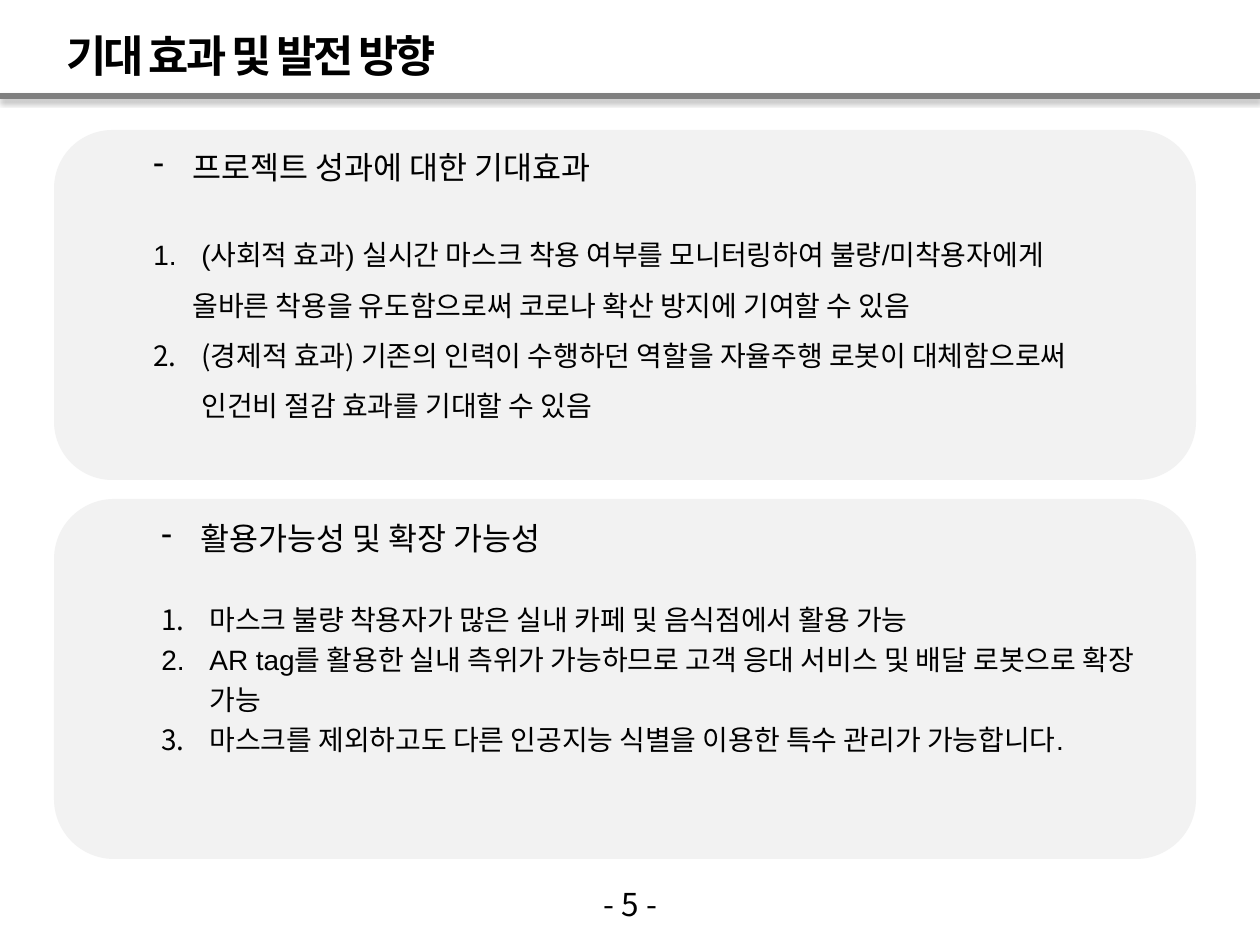
from lxml import etree
from pptx import Presentation
from pptx.dml.color import RGBColor
from pptx.enum.shapes import MSO_CONNECTOR, MSO_SHAPE
from pptx.enum.text import PP_ALIGN
from pptx.oxml.ns import qn
from pptx.util import Emu, Pt

ROUNDED = MSO_SHAPE.ROUNDED_RECTANGLE
STRAIGHT = MSO_CONNECTOR.STRAIGHT
CENTER = PP_ALIGN.CENTER
LEFT = PP_ALIGN.LEFT

COLORS = {"text": "000000", "panel": "F2F2F2", "rule": "808080", "shadow": "000000"}
KOREAN = "Noto Sans CJK KR"
LATIN = "Arial"
SLIDE_W, SLIDE_H = 1260, 945
PANEL_LEFT, PANEL_W = 54, 1142
HEADING_INDENT, ITEM_INDENT = 39, 48

TITLE = "기대 효과 및 발전 방향"
PAGE_NUMBER = "- 5 -"
SECTIONS = [
    {
        "panel": (130, 350), "text_box": (141, 142, 1014, 282),
        "heading": "프로젝트 성과에 대한 기대효과", "gap": 20, "spacing": 1.5,
        "items": [
            (1, "(사회적 효과) 실시간 마스크 착용 여부를 모니터링하여 불량/미착용자에게", LATIN),
            (None, "올바른 착용을 유도함으로써 코로나 확산 방지에 기여할 수 있음", LATIN),
            (2, "(경제적 효과) 기존의 인력이 수행하던 역할을 자율주행 로봇이 대체함으로써 "
                "인건비 절감 효과를 기대할 수 있음", KOREAN),
        ],
    },
    {
        "panel": (499, 360), "text_box": (149, 513, 1027, 248),
        "heading": "활용가능성 및 확장 가능성", "gap": 22, "spacing": 1.2,
        "items": [
            (1, "마스크 불량 착용자가 많은 실내 카페 및 음식점에서 활용 가능", LATIN),
            (2, "AR tag를 활용한 실내 측위가 가능하므로 고객 응대 서비스 및 배달 로봇으로 확장 가능", LATIN),
            (3, "마스크를 제외하고도 다른 인공지능 식별을 이용한 특수 관리가 가능합니다.", LATIN),
        ],
    },
]


def px(value):
    return Emu(round(value * 914400 / 126))


def color(name):
    return RGBColor.from_string(COLORS[name])


def add_text_frame(slide, box):
    frame = slide.shapes.add_textbox(*map(px, box)).text_frame
    frame.word_wrap = True
    return frame


def write(paragraph, text, size, latin=KOREAN, bold=False, align=LEFT):
    paragraph.text = text
    paragraph.alignment = align
    font = paragraph.runs[0].font
    font.size, font.bold, font.name = Pt(size), bold, latin
    font.color.rgb = color("text")
    properties = paragraph.runs[0]._r.get_or_add_rPr()
    etree.SubElement(properties, qn("a:ea"), typeface=KOREAN)
    return properties


def indent(paragraph, margin, tag=None, **bullet):
    properties = paragraph._p.get_or_add_pPr()
    properties.set("marL", str(px(margin)))
    properties.set("indent", str(-px(margin) if tag else 0))
    if tag:
        etree.SubElement(properties, qn(tag), **bullet)


def add_panel(slide, top, height):
    panel = slide.shapes.add_shape(ROUNDED, *map(px, (PANEL_LEFT, top, PANEL_W, height)))
    panel.shadow.inherit = False
    panel.fill.solid()
    panel.fill.fore_color.rgb = color("panel")
    panel.line.fill.background()


def add_section(slide, section):
    add_panel(slide, *section["panel"])
    frame = add_text_frame(slide, section["text_box"])
    heading = frame.paragraphs[0]
    indent(heading, HEADING_INDENT, "a:buChar", char="-")
    write(heading, section["heading"], 18)
    for position, (number, text, latin) in enumerate(section["items"]):
        item = frame.add_paragraph()
        if number:
            indent(item, ITEM_INDENT, "a:buAutoNum", type="arabicPeriod", startAt=str(number))
        else:
            indent(item, HEADING_INDENT)
        item.line_spacing = section["spacing"]
        if position == 0:
            item.space_before = Pt(section["gap"])
        write(item, text, 16, latin)


def add_title_rule(slide, y):
    rule = slide.shapes.add_connector(STRAIGHT, px(0), px(y), px(SLIDE_W), px(y))
    rule.line.color.rgb = color("rule")
    rule.line.width = Pt(3)
    effects = etree.SubElement(rule._element.spPr, qn("a:effectLst"))
    shadow = etree.SubElement(
        effects, qn("a:outerShdw"), blurRad=str(Pt(3.1)), dist=str(Pt(1.8)),
        dir="5400000", rotWithShape="0")
    tint = etree.SubElement(shadow, qn("a:srgbClr"), val=COLORS["shadow"])
    etree.SubElement(tint, qn("a:alpha"), val="35000")


def main():
    presentation = Presentation()
    presentation.slide_width, presentation.slide_height = px(SLIDE_W), px(SLIDE_H)
    slide = presentation.slides.add_slide(presentation.slide_layouts[6])
    title = add_text_frame(slide, (54, 23, 450, 66)).paragraphs[0]
    write(title, TITLE, 25, bold=True).set("spc", "-150")
    add_title_rule(slide, 96)
    for section in SECTIONS:
        add_section(slide, section)
    page = add_text_frame(slide, (556, 879, 149, 50)).paragraphs[0]
    write(page, PAGE_NUMBER, 18, align=CENTER)
    presentation.save("out.pptx")


if __name__ == "__main__":
    main()
